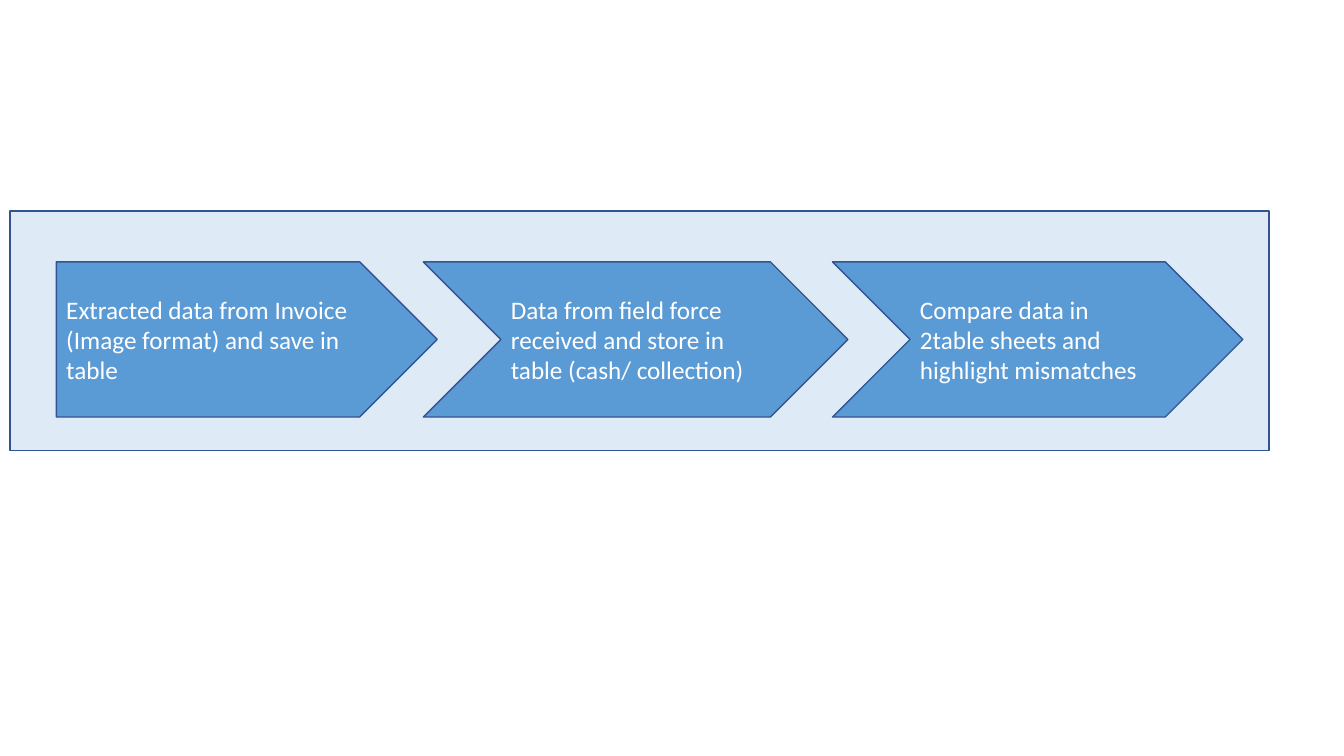
from pptx import Presentation, util as u
from pptx.dml.color import RGBColor
from pptx.enum import shapes, text

PALE_BLUE = RGBColor(0xDE, 0xEB, 0xF7)
STEP_BLUE = RGBColor(0x5B, 0x9B, 0xD5)
OUTLINE = RGBColor(0x32, 0x54, 0x91)
WHITE = RGBColor(0xFF, 0xFF, 0xFF)
SHAPE = shapes.MSO_SHAPE
STEP_TOP, STEP_HEIGHT = 6.6, 3.91
FONT = {"name": "Calibri", "size": u.Pt(18)}

deck = Presentation()
deck.slide_width = u.Cm(33.87)
deck.slide_height = u.Cm(19.05)
page = deck.slides.add_slide(deck.slide_layouts[6])


def add_box(kind, left, top, width, height, fill):
    box = page.shapes.add_shape(kind, u.Cm(left), u.Cm(top), u.Cm(width), u.Cm(height))
    box.shadow.inherit = False
    box.fill.solid()
    box.fill.fore_color.rgb = fill
    box.line.color.rgb = OUTLINE
    box.line.width = u.Pt(1)
    return box


add_box(SHAPE.RECTANGLE, 0.25, 5.32, 31.73, 6.03, PALE_BLUE)

steps = [
    (SHAPE.PENTAGON, 1.42, 9.6, "Extracted data from Invoice (Image format) and save in table"),
    (SHAPE.CHEVRON, 10.67, 10.7, "Data from field force received and store in table (cash/ collection)"),
    (SHAPE.CHEVRON, 20.98, 10.34, "Compare data in 2table sheets and highlight mismatches"),
]
for kind, left, width, wording in steps:
    box = add_box(kind, left, STEP_TOP, width, STEP_HEIGHT, STEP_BLUE)
    frame = box.text_frame
    frame.word_wrap = True
    frame.vertical_anchor = text.MSO_ANCHOR.MIDDLE
    para = frame.paragraphs[0]
    para.alignment = text.PP_ALIGN.LEFT
    span = para.add_run()
    span.text = wording
    for attribute, value in FONT.items():
        setattr(span.font, attribute, value)
    span.font.color.rgb = WHITE

deck.save("out.pptx")
